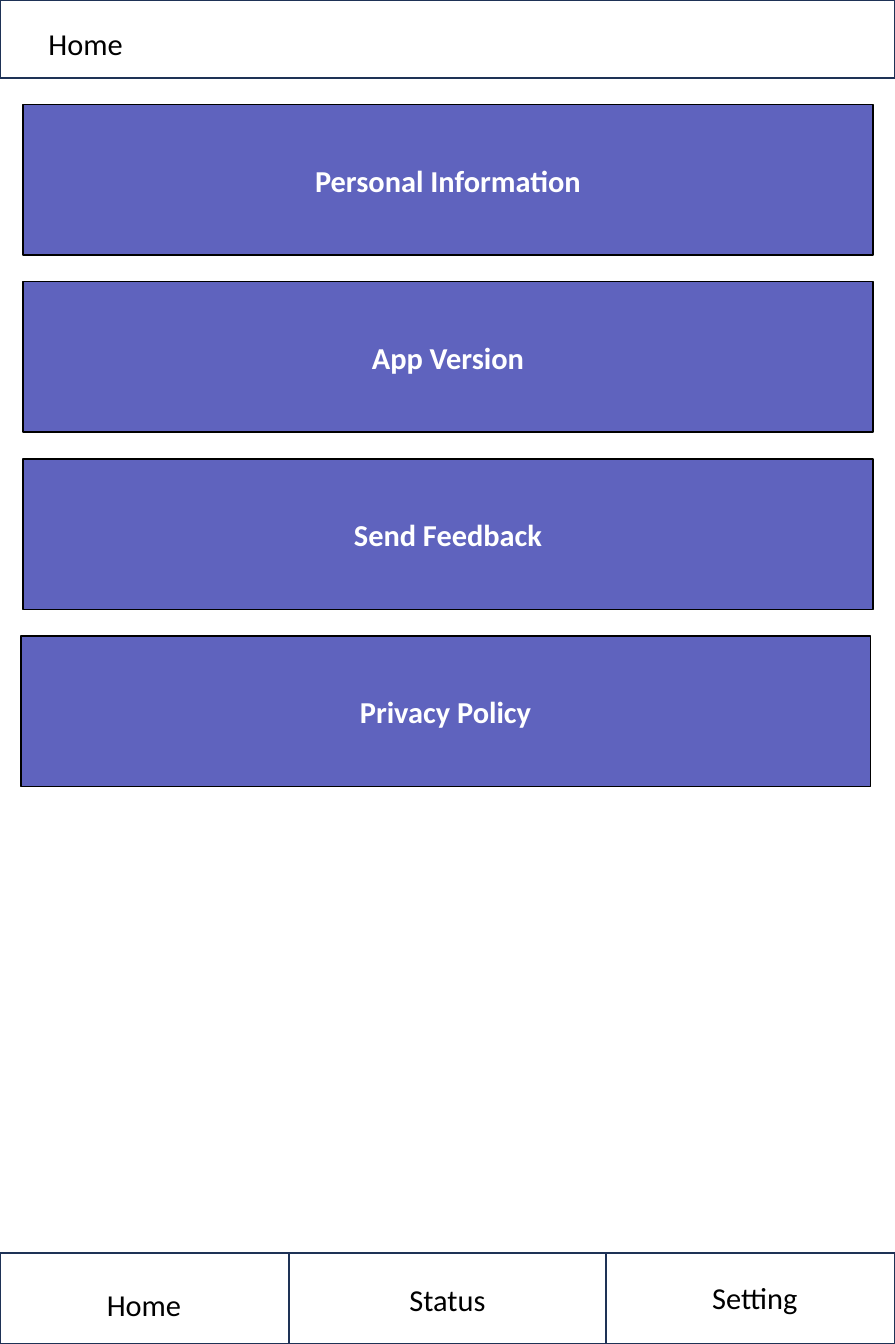
"""Build the settings screen of a mobile app: header, four buttons and a tab bar."""
from pptx import Presentation
from pptx.dml.color import RGBColor
from pptx.enum.shapes import MSO_SHAPE
from pptx.enum.text import MSO_ANCHOR, MSO_AUTO_SIZE, PP_ALIGN
from pptx.util import Cm, Inches, Pt

NAVY = RGBColor(0x1E, 0x32, 0x56)
VIOLET = RGBColor(0x5F, 0x63, 0xBE)
BLACK = RGBColor(0, 0, 0)
WHITE = RGBColor(255, 255, 255)

prs = Presentation()
prs.slide_width, prs.slide_height = Cm(18.7), Cm(28.08)
s = prs.slides.add_slide(prs.slide_layouts[6])

WIDTH, HEIGHT = prs.slide_width.inches, prs.slide_height.inches
HEADER_H, TAB_H = 0.64, 0.75
MIDDLE_TAB_W = 2.61
SIDE_TAB_W = (WIDTH - MIDDLE_TAB_W) / 2
BUTTON_W, BUTTON_H = 6.99, 1.24
FIRST_TOP, LAST_TOP = 0.86, 5.23
LABEL_H = 0.4


def add_box(x, y, w, h, line, fill=None):
    sp = s.shapes.add_shape(MSO_SHAPE.RECTANGLE, Inches(x), Inches(y), Inches(w), Inches(h))
    sp.shadow.inherit = False
    sp.line.color.rgb = line
    sp.line.width = Pt(1)
    if fill is None:
        sp.fill.background()
    else:
        sp.fill.solid()
        sp.fill.fore_color.rgb = fill
    return sp


def write(sp, text, color=BLACK, bold=False, align=PP_ALIGN.LEFT, anchor=MSO_ANCHOR.TOP, wrap=True):
    tf = sp.text_frame
    tf.word_wrap = wrap
    tf.auto_size = MSO_AUTO_SIZE.NONE if wrap else MSO_AUTO_SIZE.SHAPE_TO_FIT_TEXT
    tf.vertical_anchor = anchor
    p = tf.paragraphs[0]
    p.alignment = align
    r = p.add_run()
    r.text = text
    r.font.name, r.font.size = "Calibri", Pt(18)
    r.font.bold, r.font.color.rgb = bold, color


tab_x = 0
for tab_w in (SIDE_TAB_W, MIDDLE_TAB_W, SIDE_TAB_W):
    add_box(tab_x, HEIGHT - TAB_H, tab_w, TAB_H, NAVY)
    tab_x += tab_w
add_box(0, 0, WIDTH, HEADER_H, NAVY)

labels = [
    ("Home", 0.3, 0.16, 0.82),
    ("Home", 0.78, 10.53, 0.82),
    ("Status", 3.27, 10.49, 0.83),
    ("Setting", 5.76, 10.47, 0.92),
]
for text, x, y, w in labels:
    sp = s.shapes.add_textbox(Inches(x), Inches(y), Inches(w), Inches(LABEL_H))
    write(sp, text, wrap=False)

buttons = [
    ("Personal Information", 0.19),
    ("App Version", 0.19),
    ("Send Feedback", 0.19),
    ("Privacy Policy", 0.17),
]
pitch = (LAST_TOP - FIRST_TOP) / (len(buttons) - 1)
for row, (text, x) in enumerate(buttons):
    sp = add_box(x, FIRST_TOP + row * pitch, BUTTON_W, BUTTON_H, BLACK, VIOLET)
    write(sp, text, color=WHITE, bold=True, align=PP_ALIGN.CENTER, anchor=MSO_ANCHOR.MIDDLE)

prs.save("out.pptx")
